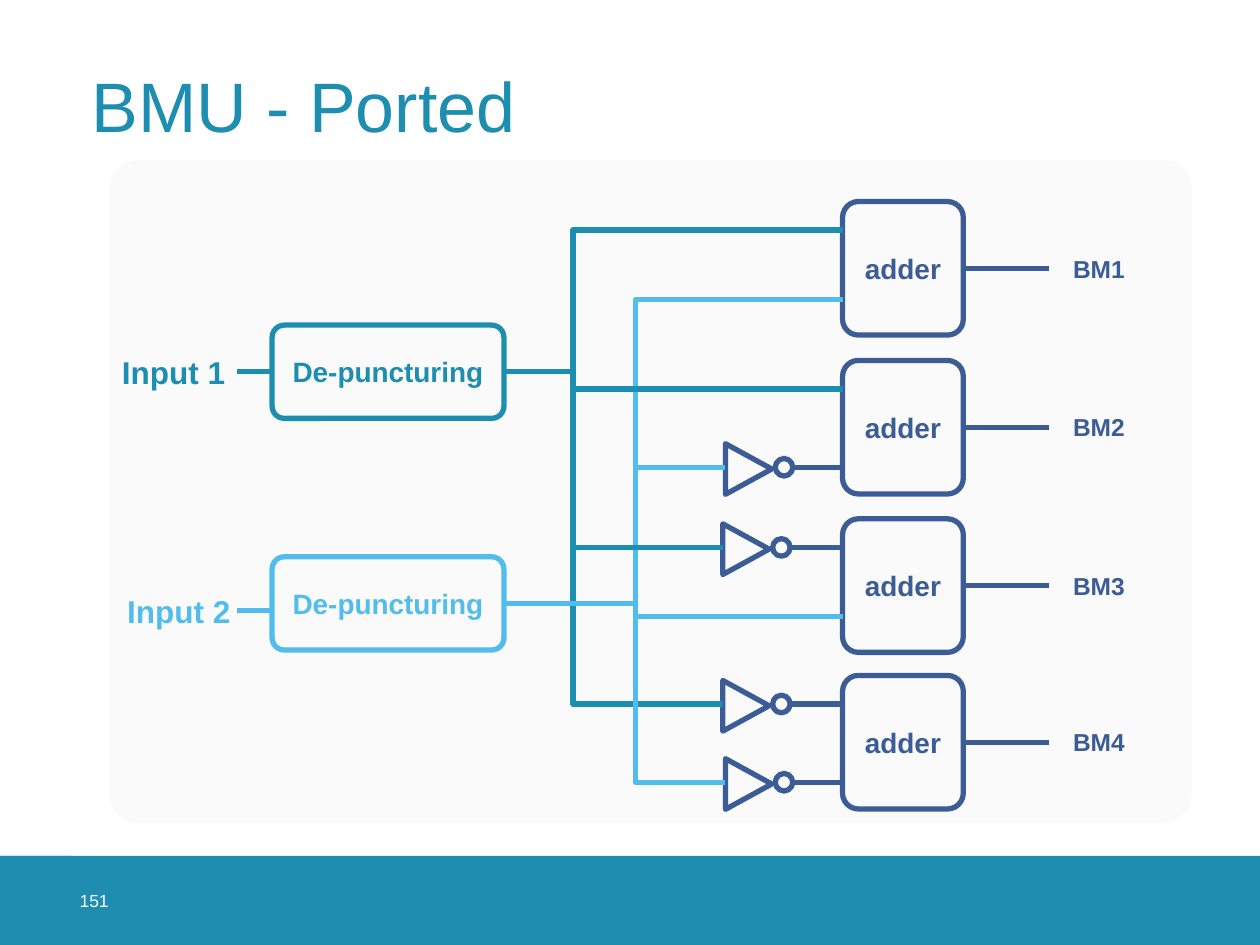
from lxml import etree
from pptx import Presentation
from pptx.dml.color import RGBColor
from pptx.enum.shapes import MSO_CONNECTOR as LINK, MSO_SHAPE as SHAPE
from pptx.enum.text import MSO_ANCHOR as ANCHOR, PP_ALIGN as ALIGN
from pptx.oxml.ns import qn
from pptx.util import Pt

COLORS = {"teal": "1D8DB0", "sky": "52BDEC", "navy": "3B5C95",
          "panel": "FAFAFA", "white": "FFFFFF"}
LINE_WIDTH = 3
CORNER = 0.131


def rgb(name):
    return RGBColor.from_string(COLORS[name])


def write(sp, text, size=16, color="navy", bold=True, align=ALIGN.CENTER,
          margins=(7.2, 3.6), spacing=None):
    tf = sp.text_frame
    tf.word_wrap = True
    tf.vertical_anchor = ANCHOR.MIDDLE
    tf.margin_left = tf.margin_right = Pt(margins[0])
    tf.margin_top = tf.margin_bottom = Pt(margins[1])
    p = tf.paragraphs[0]
    p.alignment = align
    p.line_spacing = spacing
    r = p.add_run()
    r.text = text
    r.font.name = "Arial"
    r.font.size = Pt(size)
    r.font.bold = bold
    r.font.color.rgb = rgb(color)


def add_box(shapes, kind, x, y, w, h, fill=None, line=None, corner=None):
    sp = shapes.add_shape(kind, Pt(x), Pt(y), Pt(w), Pt(h))
    sp.shadow.inherit = False
    if fill:
        sp.fill.solid()
        sp.fill.fore_color.rgb = rgb(fill)
    else:
        sp.fill.background()
    if line:
        sp.line.color.rgb = rgb(line)
        sp.line.width = Pt(LINE_WIDTH)
    else:
        sp.line.fill.background()
    if corner is not None:
        sp.adjustments[0] = corner
    return sp


def add_wire(shapes, x1, y1, x2, y2, color, trunk=None):
    """Draw a straight wire, or one that bends at the x position of a trunk."""
    kind = LINK.STRAIGHT if trunk is None else LINK.ELBOW
    cxn = shapes.add_connector(kind, Pt(x1), Pt(y1), Pt(x2), Pt(y2))
    cxn.line.color.rgb = rgb(color)
    cxn.line.width = Pt(LINE_WIDTH)
    sp_pr = cxn._element.spPr
    etree.SubElement(sp_pr, qn("a:effectLst"))
    if trunk is not None:
        guides = sp_pr.find(qn("a:prstGeom")).get_or_add_avLst()
        bend = round((trunk - x1) / (x2 - x1) * 100000)
        etree.SubElement(guides, qn("a:gd"), name="adj1", fmla=f"val {bend}")
    return cxn


def add_title(shapes, x, y, w, h):
    sp = shapes.add_textbox(Pt(x), Pt(y), Pt(w), Pt(h))
    write(sp, "BMU - Ported", size=40, color="teal", bold=False,
          align=ALIGN.LEFT, spacing=0.9)


def add_footer(shapes, x, y, w, h):
    add_box(shapes, SHAPE.RECTANGLE, x, y, w, h, fill="teal")
    add_box(shapes, SHAPE.RECTANGLE, x, y, 41, h, fill="teal")
    sp = shapes.add_textbox(Pt(x + 45.5), Pt(y), Pt(51), Pt(h))
    write(sp, "151", size=10, color="white", bold=False, align=ALIGN.LEFT,
          margins=(0, 0))


def add_input(shapes, x, y, w, h, name, color, label_x, label_w, lead_dy):
    """Draw an input label, its lead and its box; return the output point."""
    mid = y + h / 2
    lead_y = mid + lead_dy
    label = add_box(shapes, SHAPE.ROUNDED_RECTANGLE, label_x, lead_y - 14,
                    label_w, 28)
    write(label, name, size=18, color=color)
    box = add_box(shapes, SHAPE.ROUNDED_RECTANGLE, x, y, w, h, line=color,
                  corner=CORNER)
    write(box, "De-puncturing", color=color)
    lead = add_wire(shapes, x - 20, lead_y, x, lead_y, color)
    if not lead_dy:
        lead.end_connect(box, 1)
    return x + w, mid


def add_adder(shapes, x, y, w, h, output):
    adder = add_box(shapes, SHAPE.ROUNDED_RECTANGLE, x, y, w, h, line="navy",
                    corner=CORNER)
    write(adder, "adder")
    mid, label_x = y + h / 2, x + w + 49
    label = add_box(shapes, SHAPE.ROUNDED_RECTANGLE, label_x, mid - 15, 57, 30)
    write(label, output, size=14)
    cxn = add_wire(shapes, x + w, mid, label_x, mid, "navy")
    cxn.begin_connect(adder, 3)
    cxn.end_connect(label, 1)


def add_inverter(shapes, x, y, port_x):
    """Draw an inverter whose input is at (x, y), wired on to port_x."""
    base, depth, dot = 29, 26.5, 10
    add_wire(shapes, x + 28.5 + dot, y, port_x, y, "navy")
    group = shapes.add_group_shape().shapes
    triangle = add_box(group, SHAPE.ISOSCELES_TRIANGLE,
                       x + (depth - base) / 2, y + 1 - depth / 2,
                       base, depth, line="navy")
    triangle.rotation = 90
    add_box(group, SHAPE.OVAL, x + 28.5, y - dot / 2, dot, dot, line="navy")


def add_diagram(shapes, x, y, w, h):
    add_box(shapes, SHAPE.ROUNDED_RECTANGLE, x, y, w, h, fill="panel",
            corner=0.042)
    teal_source = add_input(shapes, x + 93, y + 94.3, 132.5, 53.3, "Input 1",
                            "teal", x - 3.5, 80.5, 0)
    sky_source = add_input(shapes, x + 93, y + 226.7, 132.5, 53.3, "Input 2",
                           "sky", x - 2, 83.5, 4)
    adder_x = x + 419
    # top of the adder, upper port inverted, lower port inverted
    rows = [(23.7, False, False), (114.5, False, True),
            (205, True, False), (294.5, True, True)]
    for number, (top, upper, lower) in enumerate(rows, 1):
        adder_y = y + top
        add_adder(shapes, adder_x, adder_y, 69, 76.3, f"BM{number}")
        ports = [
            (teal_source, "teal", x + 265, 16.3, upper, x + 350.5),
            (sky_source, "sky", x + 300.8, 61 if lower else 56, lower, x + 352),
        ]
        for source, color, trunk, offset, inverted, inverter_x in ports:
            port_y = adder_y + offset
            end_x = inverter_x if inverted else adder_x
            if inverted:
                add_inverter(shapes, inverter_x, port_y, adder_x)
            add_wire(shapes, *source, end_x, port_y, color, trunk)


def main():
    prs = Presentation()
    prs.slide_width, prs.slide_height = Pt(720), Pt(540)
    shapes = prs.slides.add_slide(prs.slide_layouts[6]).shapes
    add_footer(shapes, 0, 489, 720, 51)
    add_title(shapes, 45.5, 17.5, 629, 90.5)
    add_diagram(shapes, 62.5, 91.5, 618.5, 378.5)
    prs.save("out.pptx")


if __name__ == "__main__":
    main()
